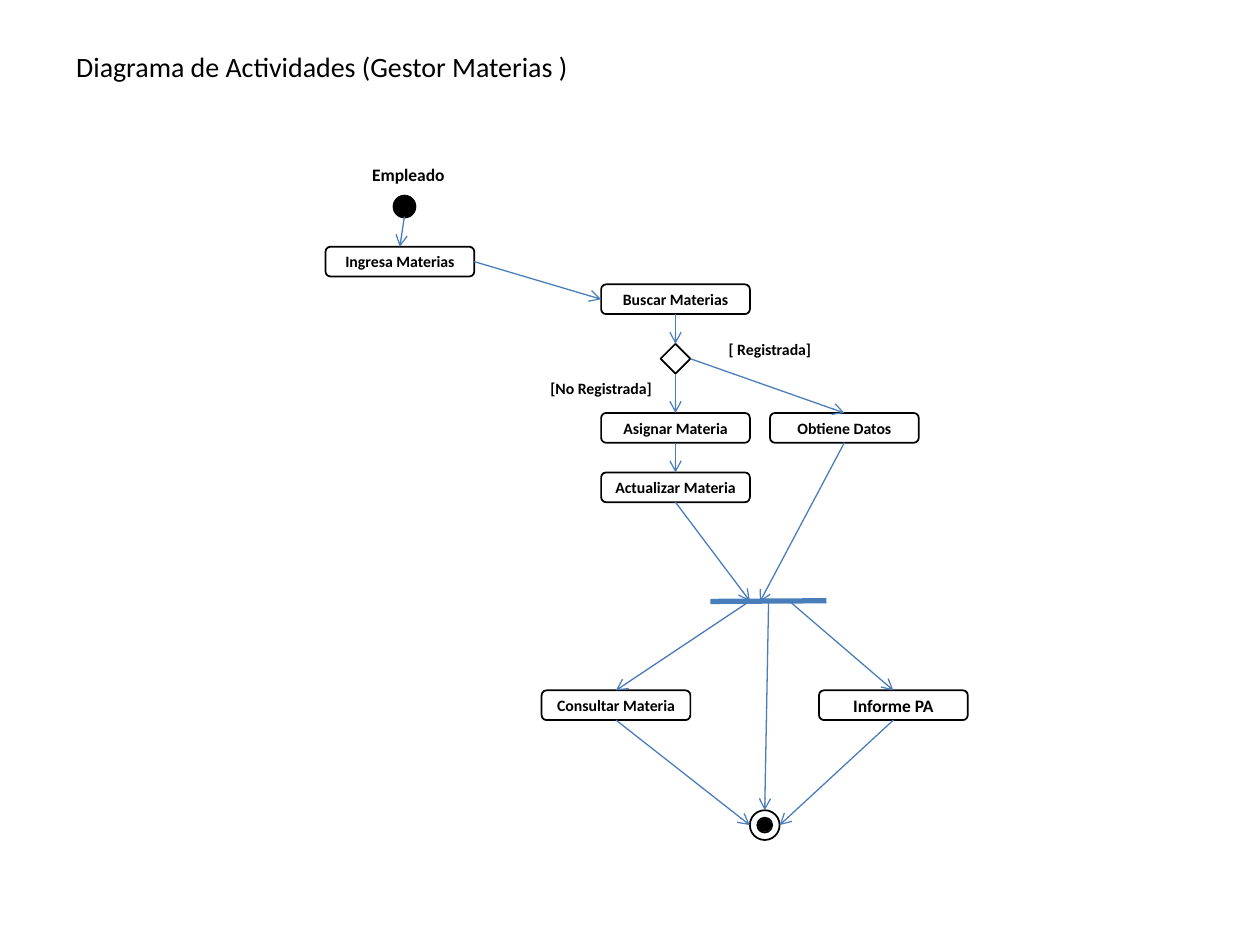
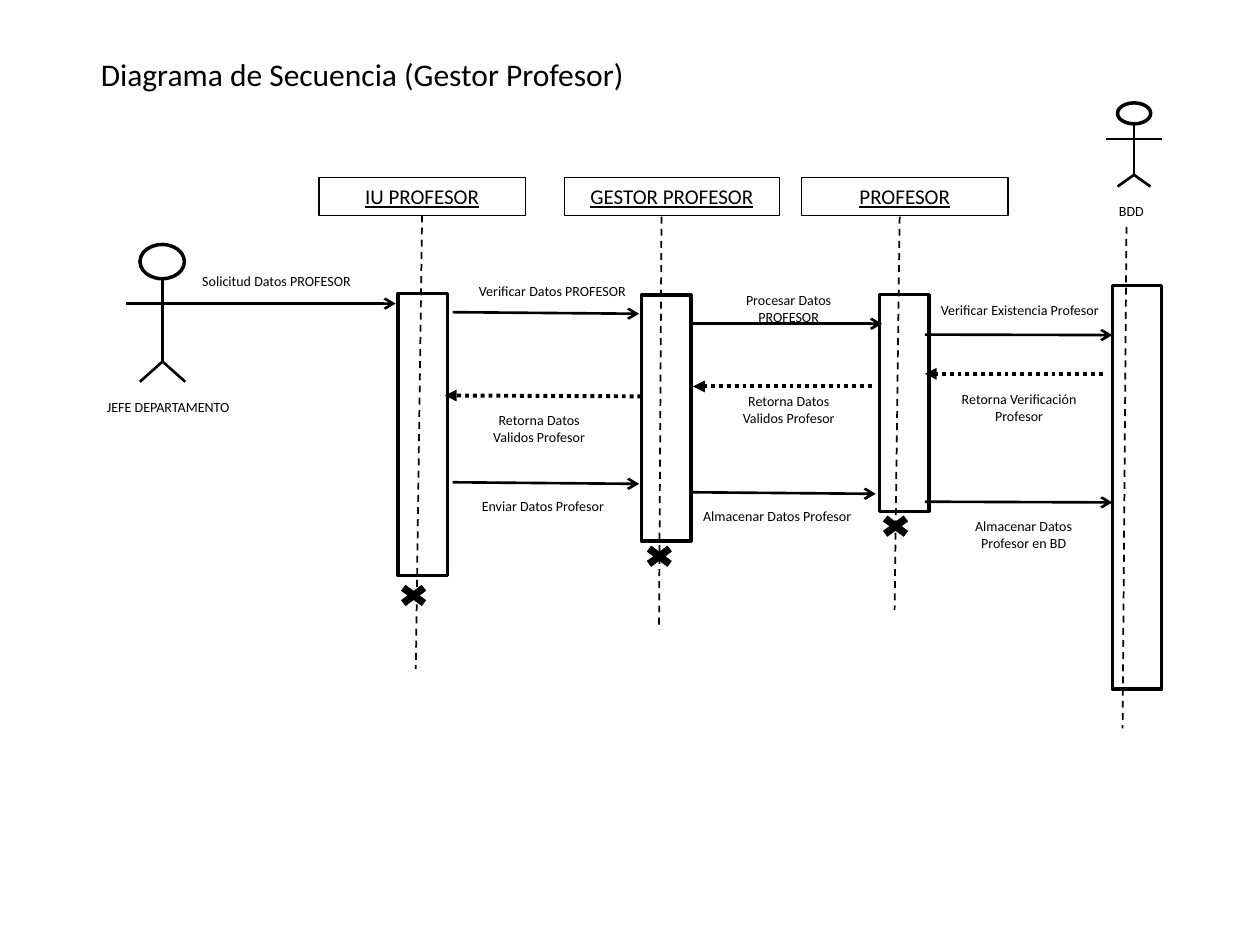
import pptx
import pptx.dml.color
import pptx.enum.dml
import pptx.enum.shapes
import pptx.enum.text
import pptx.oxml
import pptx.oxml.ns
import pptx.util
from lxml import etree

Pt = pptx.util.Pt
SHAPES = pptx.enum.shapes.MSO_SHAPE
DASHES = pptx.enum.dml.MSO_LINE
ALIGN = pptx.enum.text.PP_ALIGN
ANCHOR = pptx.enum.text.MSO_ANCHOR

FONT = "Calibri"
BLACK, WHITE, BLUE = "000000", "FFFFFF", "4A7EBB"
TOP, LEFT, BOTTOM, RIGHT = range(4)

# Activity diagram, in points
ACTIVITY_SIZE = (85, 17)
ACTIVITIES = {  # name: (left, top, text size)
    "Ingresa Materias": (186, 141, 9),
    "Buscar Materias": (343.5, 162.5, 9),
    "Asignar Materia": (343.5, 236, 9),
    "Obtiene Datos": (440, 236, 9),
    "Actualizar Materia": (343.5, 270, 9),
    "Consultar Materia": (309.5, 394.5, 9),
    "Informe PA": (468, 394.5, 10),
}
DECISION = "decision"
DECISION_BOX = (377.5, 196.5, 17, 17)
START_DOT = (225.4, 112.3, 11.5, 11.5)
END_RING = (428.5, 463, 17, 17)
END_DOT = (434.2, 468.7, 5.6, 5.6)
ACTIVITY_LABELS = [  # text, left, top, width, size
    ("Empleado", 196.6, 90, 73.4, 10),
    ("[ Registrada]", 400.3, 190.8, 79.2, 9),
    ("[No Registrada]", 292.3, 213.1, 102.2, 9),
]
FORK_BAR = ((472.3, 343.3), (406, 343.7))
FLOWS = [  # each end is (step, side) or a point
    ((231.1, 123.8), ("Ingresa Materias", TOP)),
    (("Ingresa Materias", RIGHT), ("Buscar Materias", LEFT)),
    (("Buscar Materias", BOTTOM), (DECISION, TOP)),
    ((DECISION, BOTTOM), ("Asignar Materia", TOP)),
    ((DECISION, RIGHT), ("Obtiene Datos", TOP)),
    (("Asignar Materia", BOTTOM), ("Actualizar Materia", TOP)),
    (("Actualizar Materia", BOTTOM), (428.5, 343.5)),
    (("Obtiene Datos", BOTTOM), (434.2, 344)),
    ((428.5, 343.5), ("Consultar Materia", TOP)),
    ((439.2, 343.5), (437, 463)),
    ((451, 343.5), ("Informe PA", TOP)),
    (("Consultar Materia", BOTTOM), (428.5, 471.5)),
    (("Informe PA", BOTTOM), (445.5, 471.5)),
]

# Sequence diagram, in points
PARTICIPANT_TOP, PARTICIPANT_HEIGHT = 101.5, 21.6
PARTICIPANTS = [  # name, left, width
    ("IU PROFESOR", 182.2, 118),
    ("GESTOR PROFESOR", 322.5, 123),
    ("PROFESOR", 458, 118),
]
LIFELINES = [
    ((241.2, 123.1), (237.6, 382.3)),
    ((378, 123.8), (376.6, 360)),
    ((514.1, 123.8), (511.2, 348.5)),
    ((643.7, 129.6), (641.5, 416.2)),
]
ACTIVATION_WIDTH = 28.3
ACTIVATIONS = [  # left, top, height
    (227.5, 167.6, 161.3),
    (366.5, 168.6, 140.6),
    (502.6, 168.4, 124),
    (635.6, 163.2, 230.5),
]
CROSS_SIZE = (22.3, 16.6)
CROSSES = [(225.2, 332), (365.6, 309.6), (500.6, 292.4)]
ACTORS = [
    dict(head=(80, 139.7, 25.4, 19.6), centre=92.9, arms=173.5, reach=20.9,
         hip=206.6, feet=218.2, stride=13),
    dict(head=(638.6, 58.8, 19, 12), centre=648, arms=79.4, reach=15.9,
         hip=99.9, feet=106.6, stride=9.4),
]
CALLS = [
    ((111.6, 173.5), (226.1, 173.5)),
    ((258.7, 178.4), (365.2, 179.3)),
    ((396, 185), (504, 185)),
    ((528.5, 191.2), (635.6, 191.5)),
    ((258.7, 275.6), (365.2, 276.5)),
    ((394.2, 281.3), (500.4, 282.2)),
    ((528.5, 286.7), (635.6, 287.1)),
]
RETURNS = [
    ((366.5, 226.5), (254.2, 226)),
    ((498.2, 220.8), (396, 220.8)),
    ((630, 213.6), (528.5, 213.6)),
]
SEQUENCE_LABELS = [  # text, left, top, width
    ("JEFE DEPARTAMENTO", 41.8, 223.9, 108.7),
    ("BDD", 601.9, 112.3, 89.3),
    ("Solicitud Datos PROFESOR", 106.1, 151.9, 104),
    ("Verificar Datos PROFESOR", 263.7, 157.7, 104),
    ("Procesar Datos PROFESOR", 407.7, 163.1, 86),
    ("Verificar Existencia Profesor", 518.1, 168.5, 129.6),
    ("Retorna Datos Validos Profesor", 270, 231.8, 76.3),
    ("Retorna Datos Validos Profesor", 412.6, 220.7, 76.3),
    ("Retorna Verificación Profesor", 534.5, 219.6, 95.8),
    ("Enviar Datos Profesor", 266.4, 280.8, 87.8),
    ("Almacenar Datos Profesor", 388.1, 286.6, 112.3),
    ("Almacenar Datos Profesor en BD", 540, 292.3, 90),
]


def colour(value):
    return pptx.dml.color.RGBColor.from_string(value)


def points(values):
    return [Pt(value) for value in values]


def write(shape, text, anchor=ANCHOR.MIDDLE, align=ALIGN.CENTER, inset=0, **font_format):
    frame = shape.text_frame
    frame.word_wrap = True
    frame.vertical_anchor = anchor
    frame.margin_top = frame.margin_bottom = Pt(inset)
    frame.margin_left = frame.margin_right = Pt(2 * inset)
    frame.text = text
    paragraph = frame.paragraphs[0]
    paragraph.alignment = align
    font = paragraph.runs[0].font
    for name, value in {"name": FONT, **font_format}.items():
        setattr(font, name, value)
    font.color.rgb = colour(BLACK)


def add_title(slide, text, box, size, **placing):
    title = slide.shapes.title
    title.left, title.top, title.width, title.height = points(box)
    write(title, text, inset=3.6, size=Pt(size), **placing)


def add_label(slide, text, left, top, width, size, bold=False):
    label = slide.shapes.add_textbox(*points((left, top, width, 18)))
    write(label, text, anchor=ANCHOR.TOP, inset=3.6, size=Pt(size), bold=bold)


def add_outlined(slide, kind, box, fill=None, width=1):
    shape = slide.shapes.add_shape(kind, *points(box))
    shape.shadow.inherit = False
    if fill:
        shape.fill.solid()
        shape.fill.fore_color.rgb = colour(fill)
    else:
        shape.fill.background()
    shape.line.color.rgb = colour(BLACK)
    shape.line.width = Pt(width)
    return shape


def add_line(slide, begin, end, width, line_colour=BLACK, dash=None, head=None):
    connector = slide.shapes.add_connector(
        pptx.enum.shapes.MSO_CONNECTOR.STRAIGHT, *points(begin + end))
    connector.line.color.rgb = colour(line_colour)
    connector.line.width = Pt(width)
    if dash:
        connector.line.dash_style = dash
    properties = connector.element.spPr
    qn = pptx.oxml.ns.qn
    if head:
        etree.SubElement(properties.find(qn("a:ln")), qn("a:tailEnd"), type=head)
    etree.SubElement(properties, qn("a:effectLst"))
    return connector


def add_flow(slide, steps, begin, end):
    """Draw an arrow, joining each end that names a step."""
    joined = [isinstance(place[0], str) for place in (begin, end)]
    connector = add_line(slide, (0, 0) if joined[0] else begin,
                         (0, 0) if joined[1] else end, 0.75, BLUE, head="arrow")
    if joined[0]:
        connector.begin_connect(steps[begin[0]], begin[1])
    if joined[1]:
        connector.end_connect(steps[end[0]], end[1])


def add_actor(slide, head, centre, arms, reach, hip, feet, stride):
    add_outlined(slide, SHAPES.OVAL, head, WHITE, 2)
    limbs = [
        ((centre, head[1] + head[3]), (centre, hip)),
        ((centre, hip), (centre - stride, feet)),
        ((centre, hip), (centre + stride, feet)),
        ((centre - reach, arms), (centre + reach, arms)),
    ]
    for begin, end in limbs:
        add_line(slide, begin, end, 1.5)


def build_activity_slide(slide):
    add_title(slide, "Diagrama de Actividades (Gestor Materias )", (16.6, 22.3, 334.8, 31.7), 16)
    add_outlined(slide, SHAPES.FLOWCHART_CONNECTOR, START_DOT, BLACK, 2)
    ring = add_outlined(slide, SHAPES.DONUT, END_RING, WHITE)
    ring.adjustments[0] = 0.25
    add_outlined(slide, SHAPES.FLOWCHART_CONNECTOR, END_DOT, BLACK, 2)
    steps = {DECISION: add_outlined(slide, SHAPES.FLOWCHART_DECISION, DECISION_BOX, WHITE)}
    for name, (left, top, size) in ACTIVITIES.items():
        steps[name] = add_outlined(slide, SHAPES.FLOWCHART_ALTERNATE_PROCESS,
                                   (left, top, *ACTIVITY_SIZE), WHITE)
        write(steps[name], name, size=Pt(size), bold=True)
    for label in ACTIVITY_LABELS:
        add_label(slide, *label, bold=True)
    add_line(slide, *FORK_BAR, 3, BLUE)
    for begin, end in FLOWS:
        add_flow(slide, steps, begin, end)


def build_sequence_slide(slide):
    add_title(slide, "Diagrama de Secuencia (Gestor Profesor)", (50.4, 28.1, 371.5, 29), 18,
              anchor=ANCHOR.TOP, align=ALIGN.LEFT)
    for name, left, width in PARTICIPANTS:
        box = add_outlined(slide, SHAPES.RECTANGLE,
                           (left, PARTICIPANT_TOP, width, PARTICIPANT_HEIGHT), width=0.75)
        write(box, name, size=Pt(12), underline=True)
    for begin, end in LIFELINES:
        add_line(slide, begin, end, 1, dash=DASHES.DASH)
    for left, top, height in ACTIVATIONS:
        add_outlined(slide, SHAPES.RECTANGLE, (left, top, ACTIVATION_WIDTH, height), width=2)
    for corner in CROSSES:
        add_outlined(slide, SHAPES.MATH_MULTIPLY, (*corner, *CROSS_SIZE), BLACK, 0.25)
    for actor in ACTORS:
        add_actor(slide, **actor)
    for begin, end in CALLS:
        add_line(slide, begin, end, 1.5, head="arrow")
    for begin, end in RETURNS:
        add_line(slide, begin, end, 2.25, dash=DASHES.ROUND_DOT, head="triangle")
    for label in SEQUENCE_LABELS:
        add_label(slide, *label, size=8)


def main():
    presentation = pptx.Presentation()
    presentation.slide_width, presentation.slide_height = Pt(720), Pt(540)
    title_only = presentation.slide_layouts[5]
    for build in (build_activity_slide, build_sequence_slide):
        build(presentation.slides.add_slide(title_only))
    presentation.save("out.pptx")


if __name__ == "__main__":
    main()
